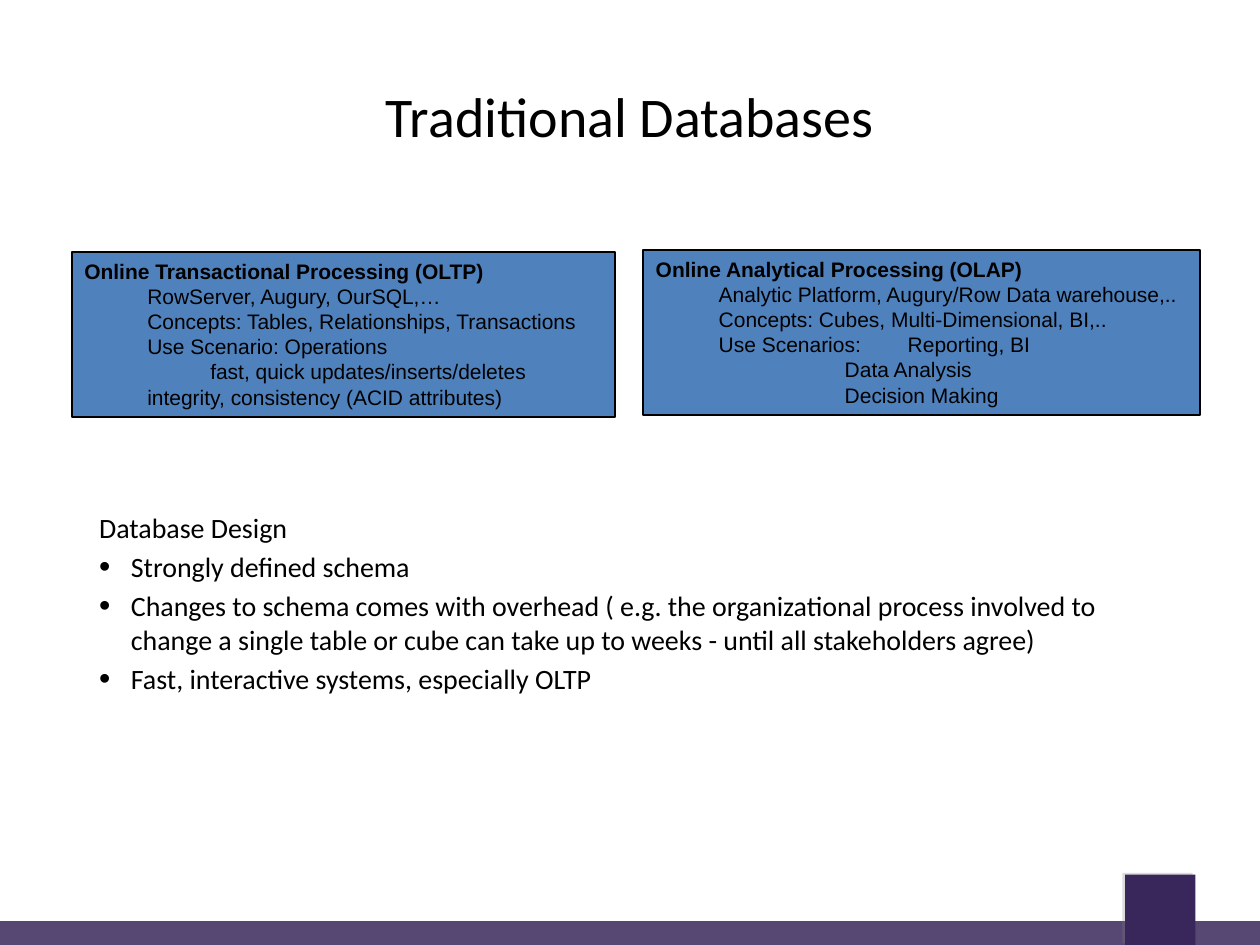
from dataclasses import dataclass

from lxml.etree import SubElement as Sub
from pptx import Presentation as Deck
from pptx.dml.color import RGBColor as Rgb
from pptx.enum.shapes import MSO_SHAPE as Form
from pptx.enum.text import MSO_ANCHOR as Anchor, PP_ALIGN as Align
from pptx.oxml.ns import qn
from pptx.util import Cm, Pt


@dataclass(frozen=True)
class Theme:
    ink: str = "000000"
    box: str = "4F81BD"
    band: str = "39275B"
    shade: str = "808080"
    head: str = "Calibri"
    body: str = "Arial"
    big: int = 32
    mid: int = 16
    small: int = 12


def write(para, text, font, size, color, bold=False, left=0, hang=0,
          gap=0, bullet=None, align=Align.LEFT):
    run = para.add_run()
    run.text = text
    face = run.font
    face.name, face.size, face.bold = font, Pt(size), bold
    face.color.rgb = Rgb.from_string(color)
    para.alignment = align
    para.space_before = Pt(gap)
    props = para._p.get_or_add_pPr()
    props.set("marL", str(Cm(left)))
    props.set("indent", str(Cm(-hang)))
    if bullet:
        Sub(props, qn("a:buSzPct"), val="115000")
        Sub(props, qn("a:buFont"), typeface="Arial")
        Sub(props, qn("a:buChar"), char=bullet)


class Page:
    def __init__(self, deck, theme):
        self.theme = theme
        self.slide = deck.slides.add_slide(deck.slide_layouts[5])

    def rect(self, place, color, line=None, alpha=None):
        shape = self.slide.shapes.add_shape(Form.RECTANGLE, *map(Cm, place))
        shape.shadow.inherit = False
        shape.fill.solid()
        shape.fill.fore_color.rgb = Rgb.from_string(color)
        if line:
            shape.line.color.rgb = Rgb.from_string(line)
            shape.line.width = Pt(1.25)
        else:
            shape.line.fill.background()
        if alpha:
            tint = shape._element.spPr.find(".//" + qn("a:srgbClr"))
            Sub(tint, qn("a:alpha"), val=str(alpha * 1000))
        return shape

    def shadow(self, shape):
        effects = shape._element.spPr.find(qn("a:effectLst"))
        outer = Sub(effects, qn("a:outerShdw"), blurRad="0",
                    dist=str(Pt(1.8)), dir=str(211 * 60000), rotWithShape="0")
        tint = Sub(outer, qn("a:srgbClr"), val=self.theme.shade)
        Sub(tint, qn("a:alpha"), val="27000")

    def title(self, text, place):
        look = self.theme
        shape = self.slide.shapes.title
        shape.left, shape.top, shape.width, shape.height = map(Cm, place)
        frame = shape.text_frame
        frame.vertical_anchor = Anchor.MIDDLE
        write(frame.paragraphs[0], text, look.head, look.big, look.ink,
              align=Align.CENTER)

    def card(self, place, head, lines):
        look = self.theme
        frame = self.rect(place, look.box, line=look.ink).text_frame
        frame.word_wrap = True
        frame.vertical_anchor = Anchor.TOP
        write(frame.paragraphs[0], head, look.body, look.small, look.ink,
              bold=True)
        for left, text in lines:
            write(frame.add_paragraph(), text, look.body, look.small,
                  look.ink, left=left)

    def points(self, place, head, lines):
        look = self.theme
        frame = self.slide.shapes.add_textbox(*map(Cm, place)).text_frame
        frame.word_wrap = True
        write(frame.paragraphs[0], head, look.head, look.mid, look.ink)
        for text in lines:
            write(frame.add_paragraph(), text, look.head, look.mid, look.ink,
                  left=0.64, hang=0.64, gap=3.2, bullet="•")


def main():
    deck = Deck()
    deck.slide_width, deck.slide_height = Cm(25.4), Cm(19.05)
    look = Theme()
    page = Page(deck, look)
    page.rect((0, 18.57, 25.4, 0.48), look.band, alpha=85)
    page.shadow(page.rect((22.68, 17.63, 1.42, 1.42), look.band))
    page.title("Traditional Databases", (1.27, 1.47, 22.86, 1.7))
    page.points((1.75, 10.16, 21.9, 4.2), "Database Design", (
        "Strongly defined schema",
        "Changes to schema comes with overhead ( e.g. the organizational "
        "process involved to change a single table or cube can take up to "
        "weeks - until all stakeholders agree)",
        "Fast, interactive systems, especially OLTP",
    ))
    step = 1.27
    page.card((1.45, 5.08, 10.95, 3.33),
              "Online Transactional Processing (OLTP)", (
        (step, "RowServer, Augury, OurSQL,…"),
        (step, "Concepts: Tables, Relationships, Transactions"),
        (step, "Use Scenario: Operations"),
        (2 * step, "fast, quick updates/inserts/deletes"),
        (step, "integrity, consistency (ACID attributes)"),
    ))
    page.card((12.97, 5.04, 11.23, 3.33),
              "Online Analytical Processing (OLAP)", (
        (step, "Analytic Platform, Augury/Row Data warehouse,.."),
        (step, "Concepts: Cubes, Multi-Dimensional, BI,.."),
        (step, "Use Scenarios:\tReporting, BI"),
        (3 * step, "Data Analysis"),
        (3 * step, "Decision Making"),
    ))
    deck.save("out.pptx")


if __name__ == "__main__":
    main()
